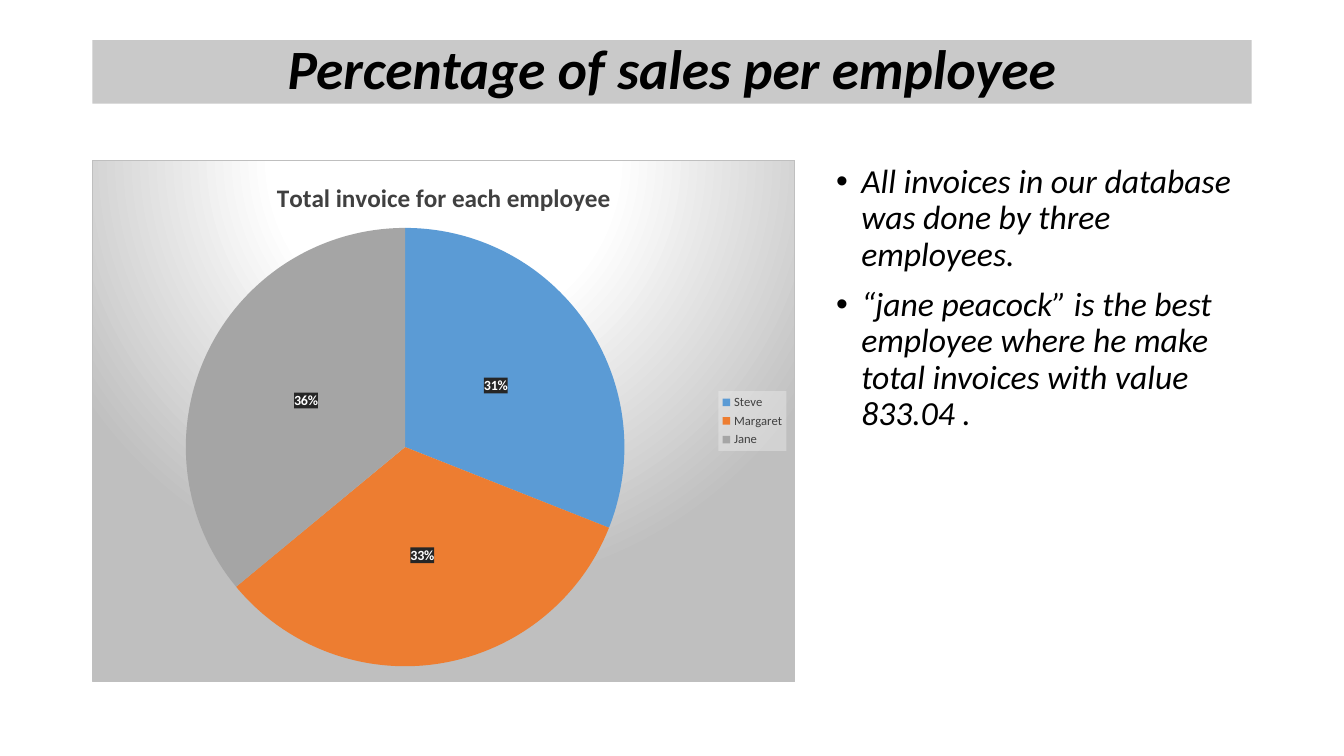
from pptx import Presentation
from pptx.chart.data import CategoryChartData
from pptx.dml.color import RGBColor
from pptx.enum.chart import XL_CHART_TYPE, XL_LABEL_POSITION, XL_LEGEND_POSITION
from pptx.enum.text import MSO_ANCHOR, MSO_AUTO_SIZE, PP_ALIGN
from pptx.oxml import parse_xml
from pptx.oxml.ns import nsdecls, qn
from pptx.util import Pt


def color(value):
    return RGBColor.from_string(value)


def style_font(font, size, shade="000000", bold=False, italic=False):
    font.name = "Calibri"
    font.size = Pt(size)
    font.bold = bold
    font.italic = italic
    font.color.rgb = color(shade)


def write(paragraph, text, align=None, line_spacing=None, before=0, **font):
    paragraph.alignment = align
    paragraph.line_spacing = line_spacing
    paragraph.space_before = Pt(before)
    span = paragraph.add_run()
    span.text = text
    style_font(span.font, **font)


def chart_fill(content):
    return parse_xml(f"<c:spPr {nsdecls('c', 'a')}>{content}</c:spPr>")


def translucent(shade, percent):
    return chart_fill(f'<a:solidFill><a:srgbClr val="{shade}">'
                      f'<a:alpha val="{percent * 1000}"/></a:srgbClr></a:solidFill>')


def radial_background(stops, border):
    marks = "".join(f'<a:gs pos="{place * 1000}"><a:srgbClr val="{shade}"/></a:gs>'
                    for place, shade in stops)
    return chart_fill(
        f'<a:gradFill><a:gsLst>{marks}</a:gsLst><a:path path="circle">'
        '<a:fillToRect l="50000" t="-80000" r="50000" b="180000"/></a:path></a:gradFill>'
        f'<a:ln w="{Pt(0.75)}"><a:solidFill><a:srgbClr val="{border}"/></a:solidFill></a:ln>')


class SlideBuilder:
    def __init__(self, deck):
        self.page = deck.slides.add_slide(deck.slide_layouts[1])

    def place(self, box, left, top, width, height):
        box.left, box.top = Pt(left), Pt(top)
        box.width, box.height = Pt(width), Pt(height)
        frame = box.text_frame
        frame.word_wrap = True
        frame.auto_size = MSO_AUTO_SIZE.NONE
        return frame

    def title(self, text, area, fill):
        box = self.page.shapes.title
        frame = self.place(box, *area)
        frame.vertical_anchor = MSO_ANCHOR.MIDDLE
        box.fill.solid()
        box.fill.fore_color.rgb = color(fill)
        write(frame.paragraphs[0], text, align=PP_ALIGN.CENTER, line_spacing=0.9,
              size=39.6, bold=True, italic=True)

    def bullets(self, items, area):
        frame = self.place(self.page.placeholders[1], *area)
        frame.vertical_anchor = MSO_ANCHOR.TOP
        for index, item in enumerate(items):
            para = frame.add_paragraph() if index else frame.paragraphs[0]
            write(para, item, line_spacing=0.9, before=10, size=24, italic=True)
            properties = para._p.get_or_add_pPr()
            properties.set("marL", str(Pt(18)))
            properties.set("indent", str(Pt(-18)))
            for mark in ('<a:buFont {} typeface="Arial"/>', '<a:buChar {} char="•"/>'):
                properties.append(parse_xml(mark.format(nsdecls("a"))))

    def pie(self, heading, shares, shades, area, plot_area):
        data = CategoryChartData()
        data.categories = list(shares)
        data.add_series("Series 1", list(shares.values()))
        chart = self.page.shapes.add_chart(
            XL_CHART_TYPE.PIE, *map(Pt, area), data).chart
        style_font(chart.font, 10)
        chart.has_title = True
        write(chart.chart_title.text_frame.paragraphs[0], heading,
              size=18, bold=True, shade="404040")
        chart.chart_title.include_in_layout = False
        self.color_slices(chart.plots[0], shades)
        self.legend(chart)
        self.plot_layout(chart, plot_area)
        background = radial_background(
            [(0, "FFFFFF"), (39, "FFFFFF"), (100, "BFBFBF")], "BFBFBF")
        chart.element.find(qn("c:chart")).addnext(background)

    def color_slices(self, plot, shades):
        plot.vary_by_categories = True
        series = plot.series[0]
        for index, shade in enumerate(shades):
            slice_fill = series.points[index].format.fill
            slice_fill.solid()
            slice_fill.fore_color.rgb = color(shade)
        labels = series.data_labels
        labels.show_percentage = True
        labels.show_value = False
        labels.number_format = "0%"
        labels.number_format_is_linked = False
        labels.position = XL_LABEL_POSITION.CENTER
        style_font(labels.font, 10, "FFFFFF", bold=True)
        text = series._element.find(qn("c:dLbls")).find(qn("c:txPr"))
        text.addprevious(translucent("262626", 75))

    def legend(self, chart):
        chart.has_legend = True
        chart.legend.position = XL_LEGEND_POSITION.RIGHT
        chart.legend.include_in_layout = False
        style_font(chart.legend.font, 9, "404040")
        text = chart.legend._element.find(qn("c:txPr"))
        text.addprevious(translucent("F2F2F2", 39))

    def plot_layout(self, chart, plot_area):
        plot = chart.element.find(".//" + qn("c:plotArea"))
        for layout in plot.findall(qn("c:layout")):
            plot.remove(layout)
        sizes = "".join(f'<c:{name} val="{value}"/>'
                        for name, value in zip("xywh", plot_area))
        plot.insert(0, parse_xml(
            f'<c:layout {nsdecls("c")}><c:manualLayout><c:layoutTarget val="inner"/>'
            f'<c:xMode val="edge"/><c:yMode val="edge"/>{sizes}'
            '</c:manualLayout></c:layout>'))


deck = Presentation()
deck.slide_width, deck.slide_height = Pt(960), Pt(540)
builder = SlideBuilder(deck)
builder.title("Percentage of sales per employee", (66, 28.6, 828, 45.4), "C9C9C9")
builder.bullets(
    ["All invoices in our database was done by three employees.",
     "“jane peacock” is the best employee where he make total invoices with value 833.04 ."],
    (590, 114, 304, 373.5))
builder.pie("Total invoice for each employee",
            {"Steve": 31, "Margaret": 33, "Jane": 36},
            ["5B9BD5", "ED7D31", "A5A5A5"],
            (66, 114, 502, 373.5), (0.13, 0.13, 0.63, 0.84))
deck.save("out.pptx")
